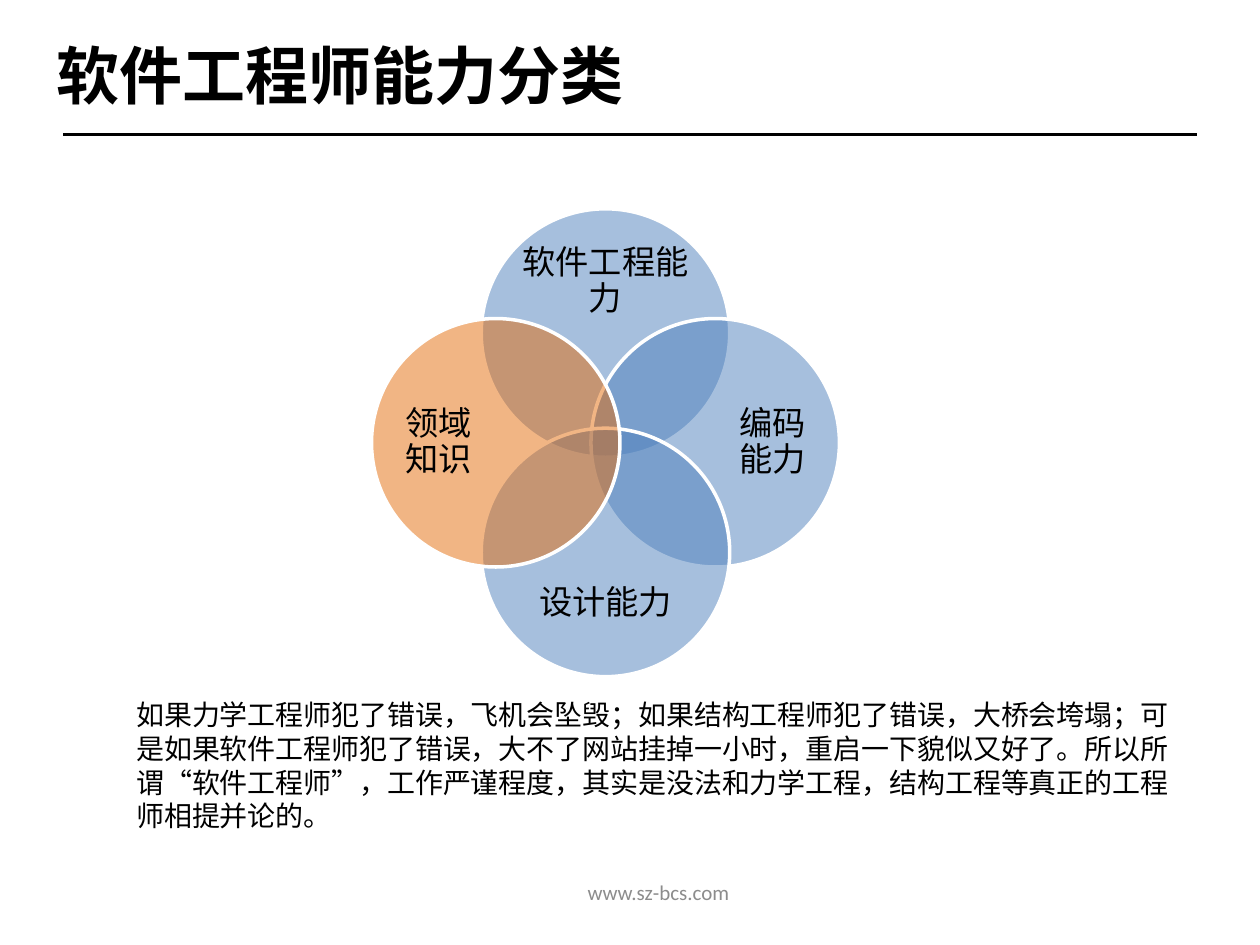
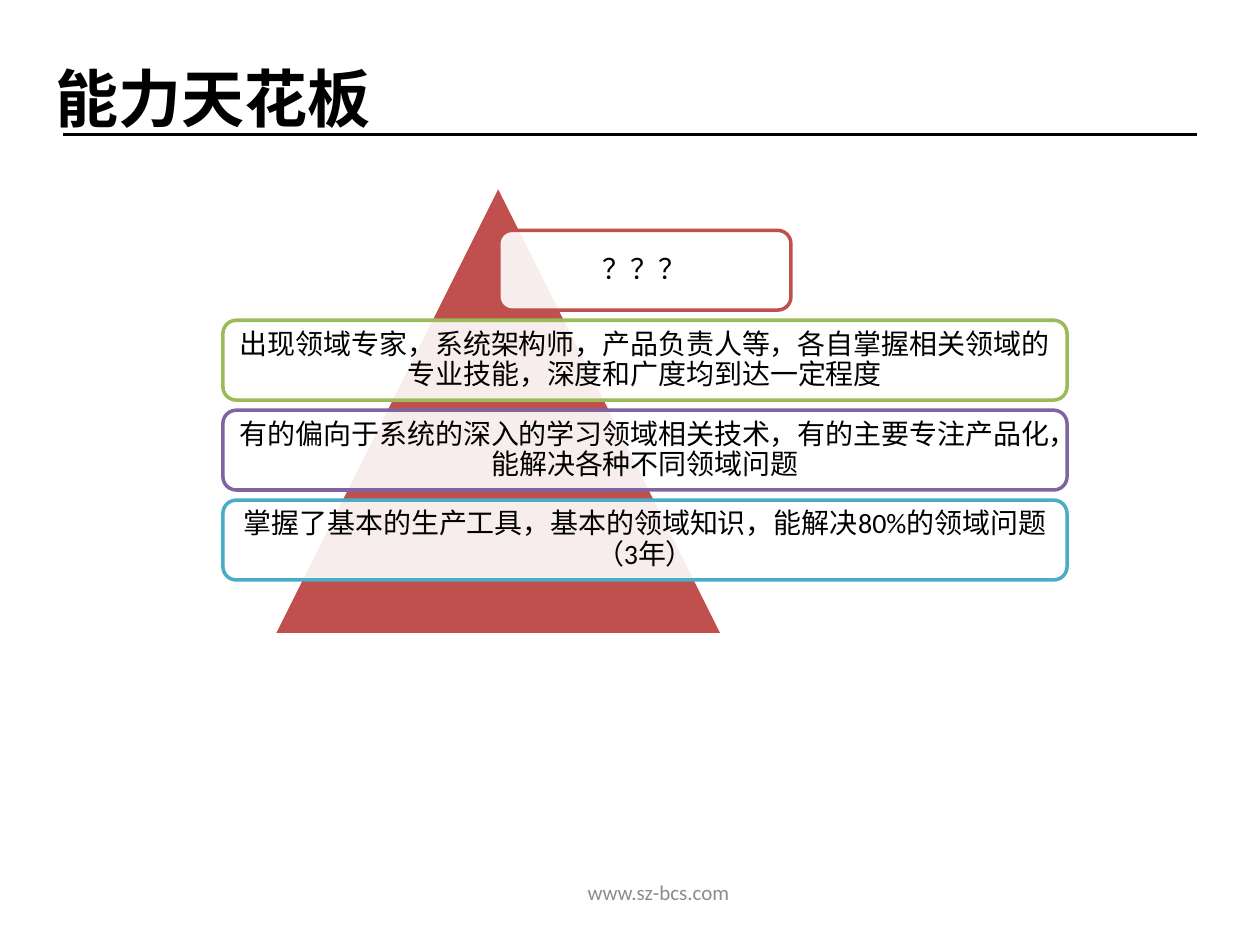
import pptx
import pptx.util
import pptx.dml.color
import pptx.enum.shapes
import pptx.enum.text
import pptx.oxml.ns
import lxml.etree

Pt = pptx.util.Pt
RGB = pptx.dml.color.RGBColor
KIND = pptx.enum.shapes.MSO_SHAPE
ALIGN = pptx.enum.text.PP_ALIGN
ANCHOR = pptx.enum.text.MSO_ANCHOR
qn = pptx.oxml.ns.qn

BLACK = RGB(0x00, 0x00, 0x00)
WHITE = RGB(0xFF, 0xFF, 0xFF)
GRAY = RGB(0x8C, 0x8C, 0x8C)
BLUE = RGB(0x4F, 0x81, 0xBD)
ORANGE = RGB(0xE4, 0x6C, 0x0A)
RED = RGB(0xC0, 0x50, 0x4D)
GREEN = RGB(0x9B, 0xBB, 0x59)
PURPLE = RGB(0x80, 0x64, 0xA2)
TEAL = RGB(0x4B, 0xAC, 0xC6)
FONT = "Calibri"


def write(shape, text, size, align=ALIGN.CENTER, anchor=ANCHOR.MIDDLE,
          color=BLACK, bold=False, inset=None, space=None):
    frame = shape.text_frame
    frame.word_wrap = True
    frame.vertical_anchor = anchor
    if inset is not None:
        frame.margin_left = frame.margin_right = Pt(inset)
        frame.margin_top = frame.margin_bottom = Pt(inset)
    frame.text = text
    para = frame.paragraphs[0]
    para.alignment = align
    para.line_spacing = space
    font = para.runs[0].font
    font.name, font.size, font.bold = FONT, Pt(size), bold
    font.color.rgb = color


def draw(slide, kind, box, fill, line, alpha=100):
    """Add an outlined preset shape; alpha is its opacity in percent."""
    shape = slide.shapes.add_shape(kind, *map(Pt, box))
    shape.shadow.inherit = False
    shape.fill.solid()
    shape.fill.fore_color.rgb = fill
    shape.line.color.rgb = line
    shape.line.width = Pt(2)
    if alpha < 100:
        tint = shape.fill._xPr.find(qn("a:solidFill"))[0]
        lxml.etree.SubElement(tint, qn("a:alpha"), val=str(alpha * 1000))
    return shape


deck = pptx.Presentation()
deck.slide_width, deck.slide_height = Pt(720), Pt(540)

# Title, rule and footer on every slide
heads = [
    ("软件工程师能力分类", (25, -3.6, 400, 92)),
    ("能力天花板", (24.5, 9.4, 425, 92)),
]
for text, box in heads:
    slide = deck.slides.add_slide(deck.slide_layouts[6])
    rule = slide.shapes.add_connector(
        pptx.enum.shapes.MSO_CONNECTOR.STRAIGHT, Pt(36), Pt(77), Pt(684), Pt(77))
    rule.line.color.rgb = BLACK
    rule.line.width = Pt(2)
    lxml.etree.SubElement(rule._element.spPr, qn("a:effectLst"))
    title = slide.shapes.add_textbox(*map(Pt, box))
    write(title, text, 36, ALIGN.LEFT, bold=True)
    foot = slide.shapes.add_textbox(Pt(262), Pt(495.4), Pt(228.5), Pt(28.8))
    write(foot, "www.sz-bcs.com", 12, color=GRAY)

venn, tower = deck.slides

# Four overlapping skill circles around one centre
MID_X, MID_Y = 346, 253
SIZE, STEP = 142, 62.7
skills = [
    ("软件工程能力", 0, -1, BLUE),
    ("编码能力", 1, 0, BLUE),
    ("设计能力", 0, 1, BLUE),
    ("领域知识", -1, 0, ORANGE),
]
for text, dx, dy, color in skills:
    left = MID_X + dx * STEP - SIZE / 2
    top = MID_Y + dy * STEP - SIZE / 2
    draw(venn, KIND.OVAL, (left, top, SIZE, SIZE), color, WHITE, 50)
    wide, high = (55, 109) if dx else (109, 45)
    label = venn.shapes.add_textbox(
        Pt(MID_X + dx * 95.4 - wide / 2), Pt(MID_Y + dy * 91.8 - high / 2),
        Pt(wide), Pt(high))
    write(label, text, 19, inset=0, space=0.9)

note = venn.shapes.add_textbox(Pt(48.2), Pt(395.3), Pt(629.3), Pt(85))
write(note, "如果力学工程师犯了错误，飞机会坠毁；如果结构工程师犯了错误，大桥会垮塌；"
      "可是如果软件工程师犯了错误，大不了网站挂掉一小时，重启一下貌似又好了。"
      "所以所谓“软件工程师”，工作严谨程度，其实是没法和力学工程，"
      "结构工程等真正的工程师相提并论的。", 16, ALIGN.LEFT, ANCHOR.TOP)
note.text_frame.margin_left = Pt(29.7)

# Pyramid with four levels, top to bottom
draw(tower, KIND.ISOSCELES_TRIANGLE, (156.2, 105.8, 257, 257), RED, WHITE)
levels = [
    ("？？？", 285, 167, RED),
    ("出现领域专家，系统架构师，产品负责人等，各自掌握相关领域的专业技能，"
     "深度和广度均到达一定程度", 127.4, 482.4, GREEN),
    ("有的偏向于系统的深入的学习领域相关技术，有的主要专注产品化，"
     "能解决各种不同领域问题", 127.4, 482.4, PURPLE),
    ("掌握了基本的生产工具，基本的领域知识，能解决80%的领域问题（3年）",
     127.4, 482.4, TEAL),
]
for row, (text, left, wide, color) in enumerate(levels):
    box = (left, 131.6 + row * 51.4, wide, 45.6)
    level = draw(tower, KIND.ROUNDED_RECTANGLE, box, WHITE, color, 90)
    write(level, text, 16, inset=5, space=0.9)

deck.save("out.pptx")
